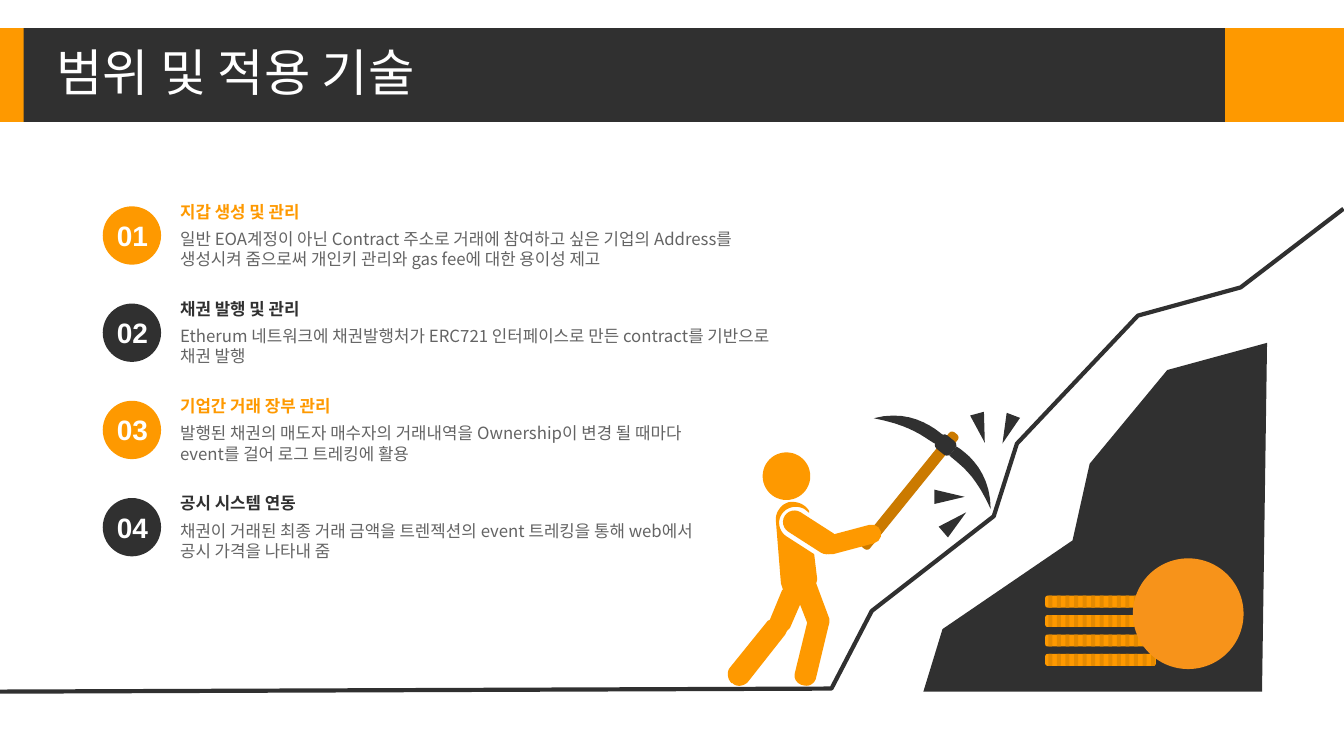
from lxml import etree
from pptx import Presentation
from pptx.dml.color import RGBColor
from pptx.enum.shapes import MSO_SHAPE
from pptx.enum.text import MSO_ANCHOR, PP_ALIGN
from pptx.oxml.ns import qn
from pptx.util import Cm, Pt

RECT = MSO_SHAPE.RECTANGLE
ROUND = MSO_SHAPE.ROUNDED_RECTANGLE
OVAL = MSO_SHAPE.OVAL
SPIKE = MSO_SHAPE.ISOSCELES_TRIANGLE
TOP, MIDDLE = MSO_ANCHOR.TOP, MSO_ANCHOR.MIDDLE
LEFT, CENTER = PP_ALIGN.LEFT, PP_ALIGN.CENTER

ORANGE, DARK, WHITE = "FE9900", "303030", "FFFFFF"
GREY, WOOD, RIDGE, COIN = "646464", "CB7A00", "E58A00", "F7931A"
SANS = "Noto Sans CJK KR"

ITEMS = [
    ("지갑 생성 및 관리", 15.8,
     "일반 EOA계정이 아닌 Contract 주소로 거래에 참여하고 싶은 기업의 Address를 "
     "생성시켜 줌으로써 개인키 관리와 gas fee에 대한 용이성 제고"),
    ("채권 발행 및 관리", 15.8,
     "Etherum 네트워크에 채권발행처가 ERC721 인터페이스로 만든 contract를 "
     "기반으로 채권 발행"),
    ("기업간 거래 장부 관리", 13.74,
     "발행된 채권의 매도자 매수자의 거래내역을 Ownership이 변경 될 때마다 "
     "event를 걸어 로그 트레킹에 활용"),
    ("공시 시스템 연동", 13.74,
     "채권이 거래된 최종 거래 금액을 트렌젝션의 event 트레킹을 통해 web에서 "
     "공시 가격을 나타내 줌"),
]

PATH = [(0, 481), (825, 478), (865, 401), (986, 307), (1009, 235),
        (1129, 108), (1231, 80), (1333, 2)]
ROCK = [(341, 0), (242, 27), (165, 120), (148, 196), (19, 284), (0, 346), (336, 346)]
SPARKS = [(23.88, 7.57, 49.3), (23.75, 6.93, 90), (24.54, 5.2, 165), (25.22, 5.23, 201.1)]
BLADES = [
    [(82, 37), (95, 45, 116, 64, 116, 99), (99, 62, 86, 56, 75, 46)],
    [(69, 26), (57, 16, 34, 0, 0, 9), (40, 17, 49, 28, 62, 35)],
]
BODY = [
    (64, 49), (72, 49, 78, 52, 82, 58), (82, 60), (77, 56),
    (69, 52, 60, 54, 55, 61), (50, 68, 52, 78, 59, 83), (87, 101), (90, 126),
    (89, 130), (102, 165), (102, 169), (101, 173), (89, 223),
    (88, 229, 82, 233, 76, 231), (70, 230, 66, 224, 68, 218), (80, 169),
    (73, 151), (63, 174), (60, 177), (58, 181), (21, 228),
    (17, 232, 10, 233, 6, 229), (5, 229), (1, 225, 0, 218, 3, 214), (41, 167),
    (43, 166), (55, 137), (56, 136), (54, 130), (49, 68), (48, 59, 55, 50, 64, 49),
]


def color(code):
    return RGBColor.from_string(code)


def paint(shape, fill):
    shape.shadow.inherit = False
    shape.fill.solid()
    shape.fill.fore_color.rgb = color(fill)
    shape.line.fill.background()


def block(slide, kind, x, y, w, h, fill, turn=0, bend=None):
    shape = slide.shapes.add_shape(kind, Cm(x), Cm(y), Cm(w), Cm(h))
    paint(shape, fill)
    shape.rotation = turn
    if bend is not None:
        shape.adjustments[0] = bend


def flatten(steps, parts=10):
    points = [steps[0]]
    for step in steps[1:]:
        if len(step) == 2:
            points.append(step)
            continue
        knots = [points[-1], step[:2], step[2:4], step[4:]]
        for i in range(1, parts + 1):
            t = i / parts
            s = 1 - t
            rates = (s ** 3, 3 * s * s * t, 3 * s * t * t, t ** 3)
            points.append(tuple(sum(r * k[axis] for r, k in zip(rates, knots))
                                for axis in (0, 1)))
    return [(px * 10, py * 10) for px, py in points]


def outline(slide, x, y, steps, closed=True):
    points = flatten(steps)
    pen = slide.shapes.build_freeform(*points[0], scale=Cm(0.0254) / 10)
    pen.add_line_segments(points[1:], close=closed)
    return pen.convert_to_shape(Cm(x), Cm(y))


def write(slide, x, y, w, h, words, size, ink, bold=False, font=SANS,
          align=LEFT, anchor=TOP):
    frame = slide.shapes.add_textbox(Cm(x), Cm(y), Cm(w), Cm(h)).text_frame
    frame.word_wrap = True
    frame.vertical_anchor = anchor
    para = frame.paragraphs[0]
    para.alignment = align
    run = para.add_run()
    run.text = words
    run.font.size = Pt(size)
    run.font.bold = bold
    run.font.name = font
    run.font.color.rgb = color(ink)
    east = etree.SubElement(run.font._element, qn("a:ea"))
    east.set("typeface", font)
    return para


def header(slide, x, y, w, h):
    side = 3
    block(slide, RECT, x + w - side, y, side, h, ORANGE)
    block(slide, RECT, x, y, w - side, h, DARK)
    block(slide, RECT, x, y, 0.6, h, ORANGE)
    title = write(slide, x + 1.17, y + 0.18, 24.64, h - 0.36, "범위 및 적용 기술",
                  36, WHITE, anchor=MIDDLE)
    title.line_spacing = 0.9
    title.space_before = Pt(10)


def agenda(slide, x, y, pitch):
    for i, (head, width, body) in enumerate(ITEMS):
        top = y + i * pitch
        tint = DARK if i % 2 else ORANGE
        block(slide, OVAL, x, top + 0.25, 1.47, 1.47, tint)
        write(slide, x + 0.1, top + 0.43, 1.3, 1.12, f"{i + 1:02}", 20, WHITE,
              True, "Arial", CENTER)
        write(slide, x + 1.7, top, width, 0.76, head, 12, tint, True)
        write(slide, x + 1.7, top + 0.69, width, 1.27, body, 12, GREY)


def hill(slide, x, y):
    trail = outline(slide, x, y, PATH, False)
    trail.shadow.inherit = False
    trail.fill.background()
    trail.line.color.rgb = color(DARK)
    trail.line.width = Pt(3)
    paint(outline(slide, x + 23.27, y + 3.43, ROCK), DARK)
    for dx, dy, turn in SPARKS:
        block(slide, SPIKE, x + dx, y + dy, 0.36, 0.76, DARK, turn)


def pickaxe(slide, x, y):
    block(slide, ROUND, x + 0.76, y + 0.2, 0.28, 3.71, WOOD, 39, 0.34)
    block(slide, ROUND, x + 1.57, y + 0.69, 0.48, 0.43, DARK, 39, 0.28)
    for blade in BLADES:
        paint(outline(slide, x, y, blade), DARK)


def miner(slide, x, y):
    block(slide, OVAL, x + 0.91, y, 1.2, 1.2, ORANGE)
    paint(outline(slide, x, y, BODY), ORANGE)
    block(slide, ROUND, x + 1.83, y + 1.24, 0.58, 1.55, ORANGE, 302.7, 0.5)
    block(slide, ROUND, x + 2.9, y + 1.42, 0.48, 1.55, ORANGE, 255.1, 0.5)


def coins(slide, x, y, w):
    for row in range(4):
        top = y + row * 0.49
        block(slide, ROUND, x, top, w, 0.3, ORANGE, bend=0.2)
        for i in range(13):
            block(slide, ROUND, x + 0.08 + i * (w - 0.2) / 12, top, 0.1, 0.3,
                  RIDGE, bend=0.2)
    block(slide, OVAL, x + 2.21, y - 0.94, w, w, COIN)


def main():
    deck = Presentation()
    deck.slide_width, deck.slide_height = Cm(33.87), Cm(19.05)
    slide = deck.slides.add_slide(deck.slide_layouts[6])
    header(slide, 0, 0.71, 33.87, 2.36)
    agenda(slide, 2.59, 4.95, 2.45)
    hill(slide, 0, 5.21)
    pickaxe(slide, 22.02, 10.31)
    miner(slide, 18.31, 11.4)
    coins(slide, 26.34, 15.01, 2.79)
    deck.save("out.pptx")


if __name__ == "__main__":
    main()
